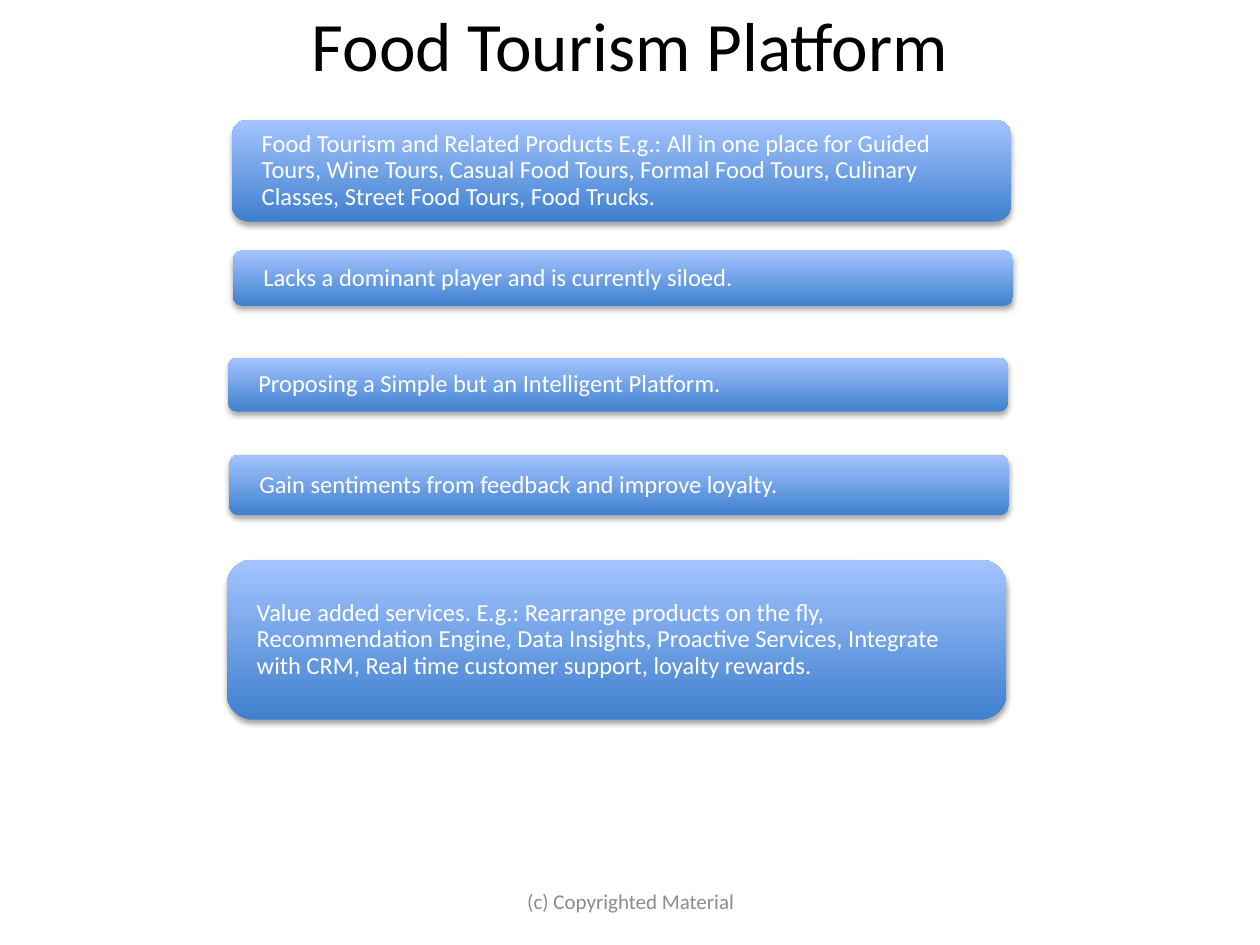
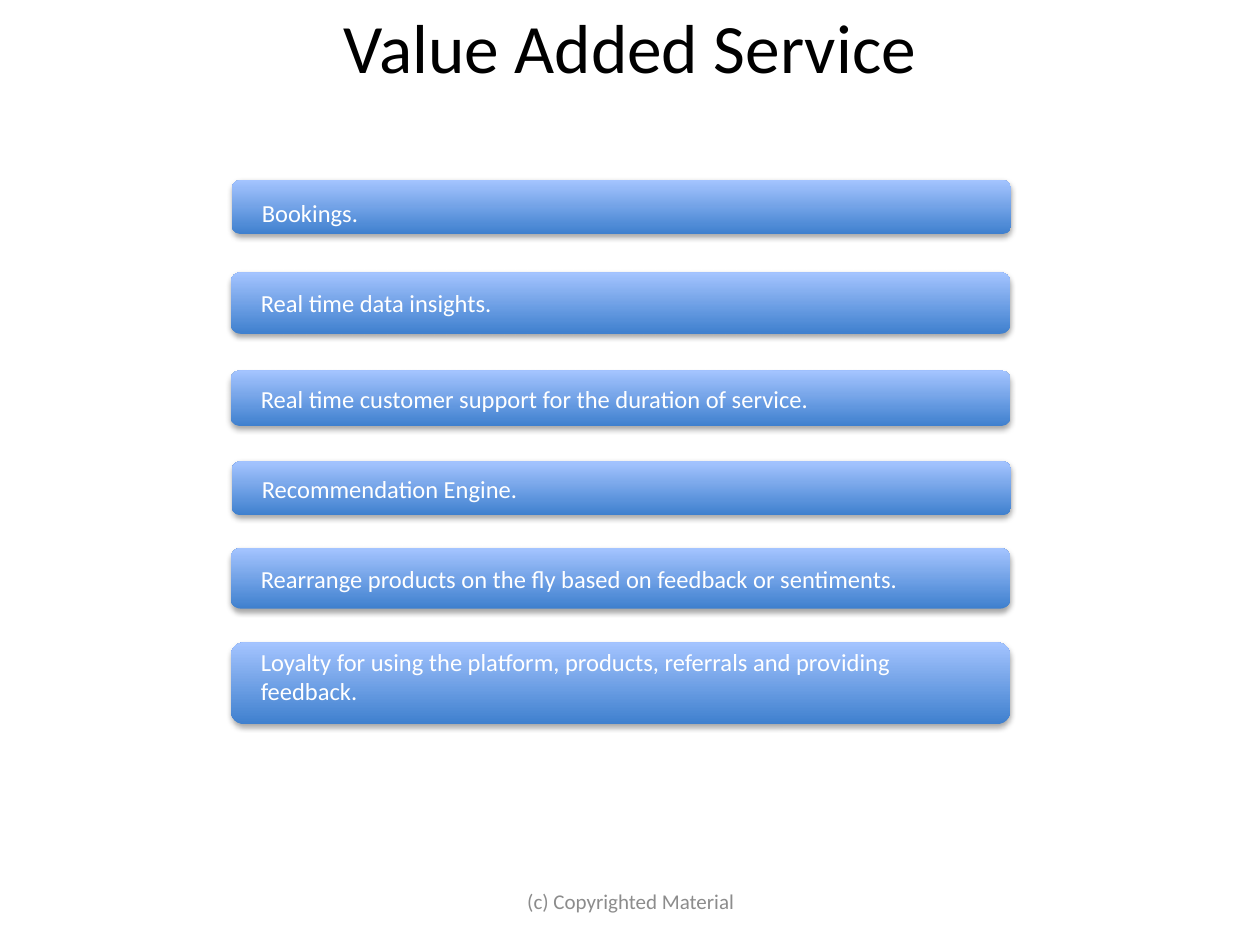
from lxml import etree
from pptx import Presentation
from pptx.dml.color import RGBColor
from pptx.enum.shapes import MSO_SHAPE as Preset
from pptx.enum.text import MSO_ANCHOR as Anchor, MSO_AUTO_SIZE as AutoSize, PP_ALIGN as Align
from pptx.oxml.ns import qn
from pptx.util import Cm, Pt


def color(hex_value):
    return RGBColor.from_string(hex_value)


class Deck:
    font_name = "Calibri"
    title_color = "000000"
    bar_colors = ("3F80CE", "A4C4FF")
    bar_text_color = "FFFFFF"
    footer_color = "8C8C8C"
    shadow_color = "000000"
    bar_width = 15.72

    def __init__(self):
        self.presentation = Presentation()
        self.presentation.slide_width = Cm(25.4)
        self.presentation.slide_height = Cm(19.05)
        self.slide = None

    def set_text(self, frame, text, size, hex_value, align, line_spacing=None):
        frame.word_wrap = True
        frame.auto_size = AutoSize.NONE
        frame.vertical_anchor = Anchor.MIDDLE
        frame.text = text
        paragraph = frame.paragraphs[0]
        paragraph.alignment = align
        paragraph.line_spacing = line_spacing
        paragraph.font.name = self.font_name
        paragraph.font.size = Pt(size)
        paragraph.font.color.rgb = color(hex_value)

    def new_slide(self, heading, top):
        self.slide = self.presentation.slides.add_slide(self.presentation.slide_layouts[5])
        title = self.slide.shapes.title
        title.left, title.top, title.width, title.height = Cm(1.27), Cm(top), Cm(22.86), Cm(1.68)
        self.set_text(title.text_frame, heading, 39.6, self.title_color, Align.CENTER)
        self.footer()

    def footer(self):
        notice = self.slide.shapes.add_textbox(Cm(8.69), Cm(17.65), Cm(8.05), Cm(1.02))
        self.set_text(notice.text_frame, "(c) Copyrighted Material", 12, self.footer_color, Align.CENTER)

    def shadow(self, shape):
        shape.shadow.inherit = False
        effects = shape._element.spPr.find(qn("a:effectLst"))
        outer = etree.SubElement(effects, qn("a:outerShdw"), blurRad="40000", dist="23000",
                                 dir="5400000", rotWithShape="0")
        tint = etree.SubElement(outer, qn("a:srgbClr"), val=self.shadow_color)
        etree.SubElement(tint, qn("a:alpha"), val="35000")

    def bar(self, text, left, top, height, line_spacing=None, inset_top=0, inset_bottom=0):
        bar = self.slide.shapes.add_shape(Preset.ROUNDED_RECTANGLE, Cm(left), Cm(top),
                                          Cm(self.bar_width), Cm(height))
        bar.line.fill.background()
        bar.fill.gradient()
        bar.fill.gradient_angle = 90
        for stop, hex_value in zip(bar.fill.gradient_stops, self.bar_colors):
            stop.color.rgb = color(hex_value)
        self.shadow(bar)
        frame = bar.text_frame
        frame.margin_left = frame.margin_right = Cm(0.61 - 0.05 * height)
        frame.margin_top, frame.margin_bottom = Cm(inset_top), Cm(inset_bottom)
        self.set_text(frame, text, 14, self.bar_text_color, Align.LEFT, line_spacing)

    def save(self):
        self.presentation.save("out.pptx")


PLATFORM_POINTS = [
    ("Food Tourism and Related Products E.g.: All in one place for Guided Tours, Wine Tours, "
     "Casual Food Tours, Formal Food Tours, Culinary Classes, Street Food Tours, Food Trucks.",
     4.67, 2.41, 2.06),
    ("Lacks a dominant player and is currently siloed.", 4.7, 5.05, 1.12),
    ("Proposing a Simple but an Intelligent Platform.", 4.6, 7.21, 1.09),
    ("Gain sentiments from feedback and improve loyalty.", 4.62, 9.17, 1.22),
    ("Value added services. E.g.: Rearrange products on the fly, Recommendation Engine, "
     "Data Insights, Proactive Services, Integrate with CRM, Real time customer support, "
     "loyalty rewards.", 4.57, 11.28, 3.23),
]

SERVICES = [
    ("Real time data insights.", 4.65, 5.49, 1.24),
    ("Real time customer support for the duration of service.", 4.65, 7.47, 1.12),
    ("Recommendation Engine.", 4.67, 9.3, 1.09),
    ("Rearrange products on the fly based on feedback or sentiments.", 4.65, 11.05, 1.22),
]


def main():
    deck = Deck()

    deck.new_slide("Food Tourism Platform", 0.05)
    for point in PLATFORM_POINTS:
        deck.bar(*point, line_spacing=0.9)

    deck.new_slide("Value Added Service", 0.08)
    deck.bar("Bookings.", 4.67, 3.63, 1.09, inset_top=0.22)
    for service in SERVICES:
        deck.bar(*service)
    deck.bar("Loyalty for using the platform, products, referrals and providing feedback.",
             4.65, 12.95, 1.65, inset_bottom=0.28)

    deck.save()


if __name__ == "__main__":
    main()
